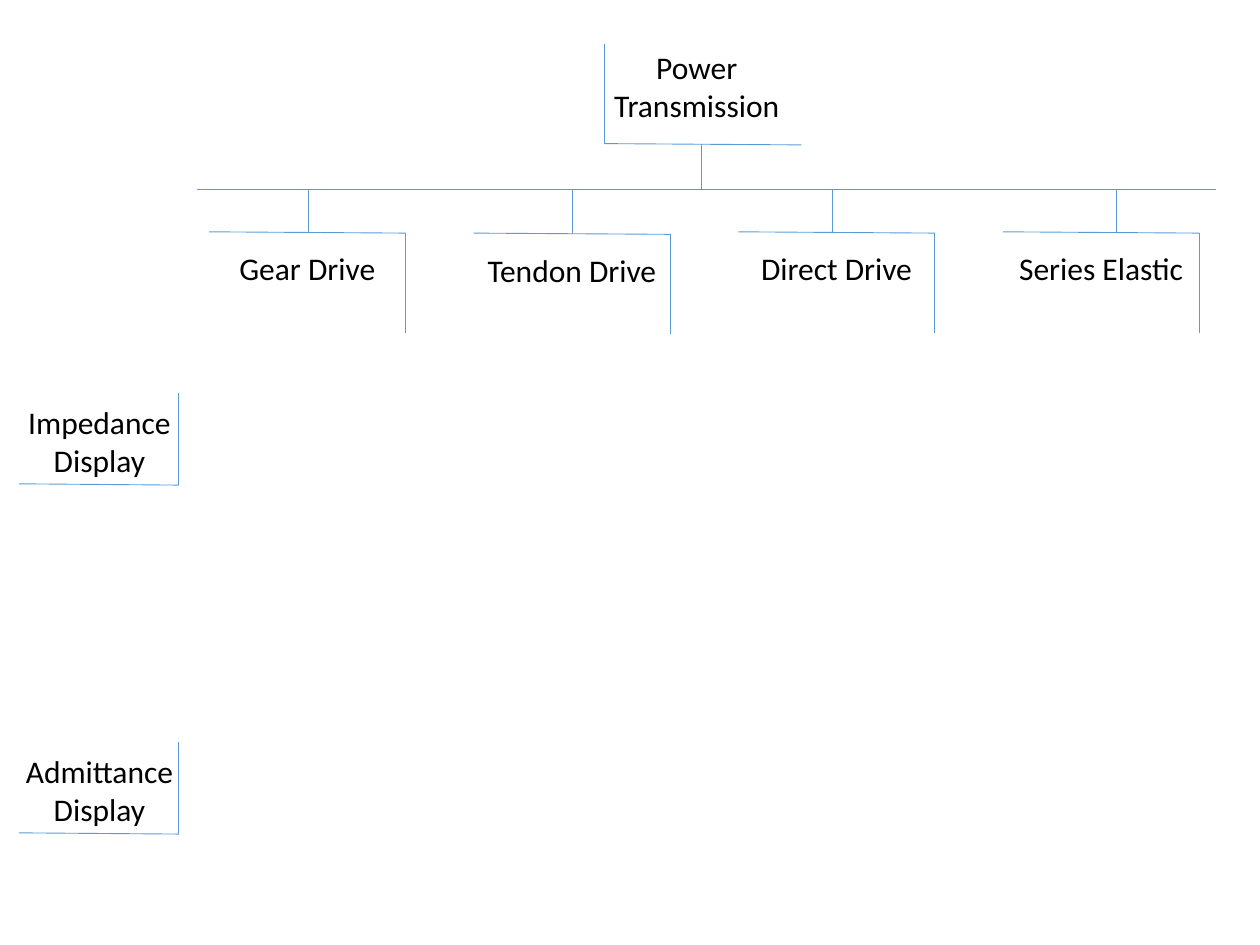
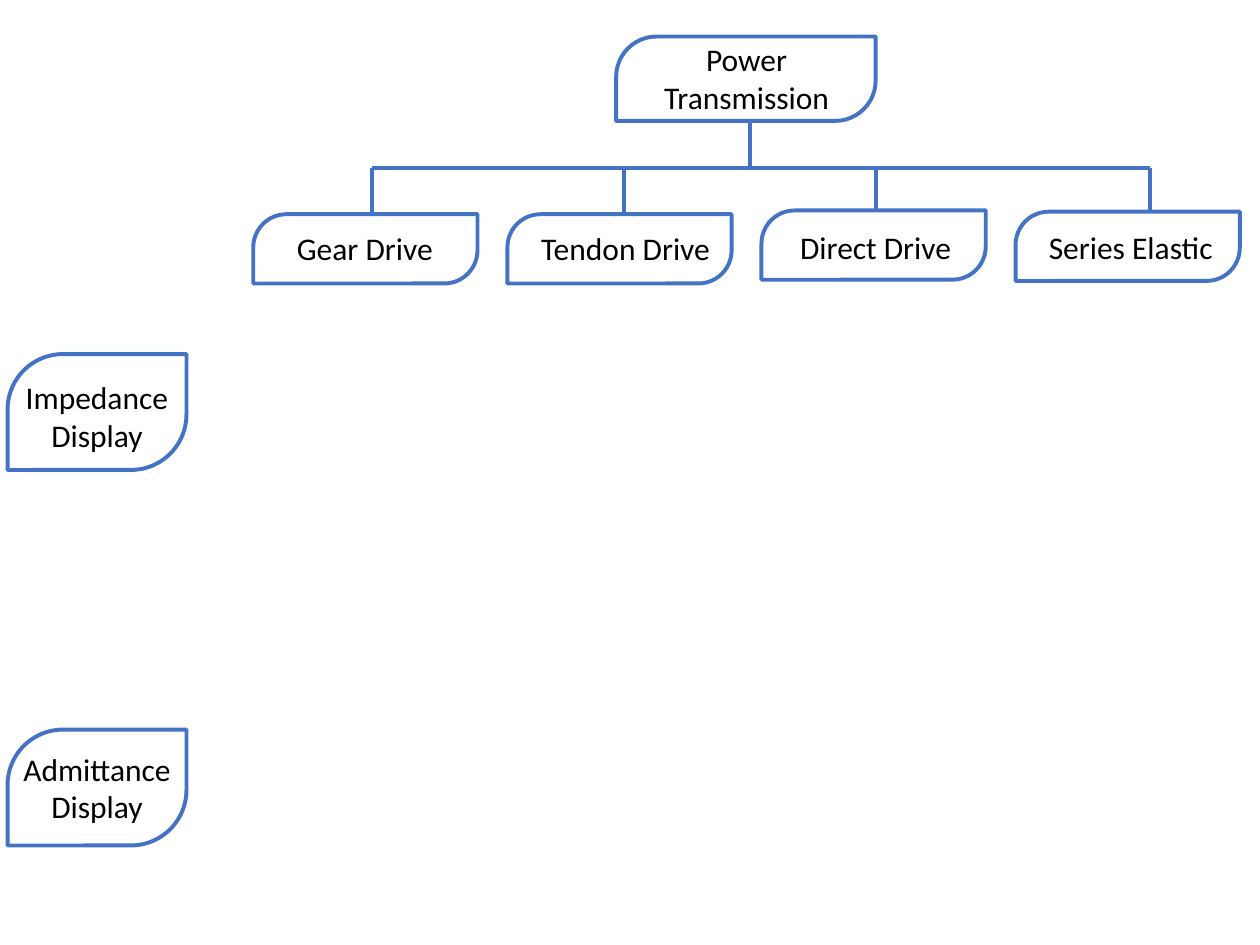
from dataclasses import dataclass

from lxml import etree
from pptx import Presentation
from pptx.dml.color import RGBColor
from pptx.enum.shapes import MSO_CONNECTOR, MSO_SHAPE
from pptx.enum.text import MSO_AUTO_SIZE, PP_ALIGN
from pptx.oxml.ns import qn
from pptx.util import Inches, Pt


@dataclass(frozen=True)
class Theme:
    """Colours, type and line weights of the deck."""
    font: str = "Calibri"
    size: float = 18
    text: str = "000000"
    thin_color: str = "5B9BD5"
    thin_width: float = 0.5
    bold_color: str = "4472C4"
    bold_width: float = 2.25
    corner: float = 0.479


THEME = Theme()
ROOT = ("Power", "Transmission")
DRIVES = ("Gear Drive", "Tendon Drive", "Direct Drive", "Series Elastic")
DISPLAYS = (("Impedance", "Display"), ("Admittance", "Display"))


class Diagram:
    """One slide and the line style used on it."""

    def __init__(self, prs, color, width):
        """Add a blank slide with the given line style."""
        self.shapes = prs.slides.add_slide(prs.slide_layouts[6]).shapes
        self.color = RGBColor.from_string(color)
        self.width = Pt(width)

    def stroke(self, line):
        """Apply the slide's line style."""
        line.color.rgb = self.color
        line.width = self.width

    def line(self, x1, y1, x2, y2):
        """Draw a straight line without shadow."""
        connector = self.shapes.add_connector(
            MSO_CONNECTOR.STRAIGHT, Inches(x1), Inches(y1), Inches(x2), Inches(y2))
        self.stroke(connector.line)
        etree.SubElement(connector._element.spPr, qn("a:effectLst"))

    def label(self, lines, left, top, width, height):
        """Write centred text, one paragraph per line."""
        box = self.shapes.add_textbox(
            Inches(left), Inches(top), Inches(width), Inches(height))
        frame = box.text_frame
        frame.word_wrap = True
        frame.auto_size = MSO_AUTO_SIZE.SHAPE_TO_FIT_TEXT
        frame.text = "\n".join(lines)
        for paragraph in frame.paragraphs:
            paragraph.alignment = PP_ALIGN.CENTER
            font = paragraph.runs[0].font
            font.name, font.size = THEME.font, Pt(THEME.size)
            font.color.rgb = RGBColor.from_string(THEME.text)

    def leaf(self, left, top, width, height):
        """Outline a box with two opposite round corners."""
        shape = self.shapes.add_shape(
            MSO_SHAPE.ROUND_2_DIAG_RECTANGLE,
            Inches(left), Inches(top), Inches(width), Inches(height))
        shape.adjustments[0] = THEME.corner
        shape.adjustments[1] = 0
        shape.fill.background()
        shape.shadow.inherit = False
        self.stroke(shape.line)


def build_open_corners(prs):
    """Tree whose labels sit in open, thin corners."""
    d = Diagram(prs, THEME.thin_color, THEME.thin_width)
    bar_y = 1.5
    d.label(ROOT, 4.6, 0.33, 1.86, 0.72)
    d.line(4.8, 0.35, 4.8, 1.14)
    d.line(6.36, 1.15, 4.8, 1.14)
    d.line(5.57, 1.14, 5.57, bar_y)
    d.line(1.56, bar_y, 9.65, bar_y)

    tops = (1.84, 1.85, 1.84, 1.84)
    drops = (2.45, 4.54, 6.61, 8.86)
    for i, (name, top, drop) in enumerate(zip(DRIVES, tops, drops)):
        left = 1.66 + 2.1 * i
        right = left + 1.56
        d.line(right, top + 0.8, right, top + 0.01)
        d.line(left, top, right, top + 0.01)
        d.label([name], left - 0.15, top + 0.09, 1.86, 0.41)
        d.line(drop, top + 0.01, drop, bar_y)

    for lines, top in zip(DISPLAYS, (3.12, 5.89)):
        d.line(1.42, top + 0.73, 1.42, top)
        d.line(0.15, top + 0.72, 1.42, top + 0.73)
        d.label(lines, -0.19, top + 0.03, 1.96, 0.71)


def build_leaf_boxes(prs):
    """Tree whose labels sit in bold leaf-shaped boxes."""
    d = Diagram(prs, THEME.bold_color, THEME.bold_width)
    bar_y = 1.33
    drops = (2.95, 4.95, 6.95, 9.13)
    d.label(ROOT, 5.03, 0.27, 1.79, 0.71)
    d.leaf(4.89, 0.29, 2.06, 0.67)
    d.line(5.95, 0.98, 5.95, bar_y)
    d.line(drops[0], bar_y, drops[-1], bar_y)

    tops = (1.7, 1.7, 1.67, 1.68)
    text_boxes = ((2.14, 1.77, 1.51), (4.07, 1.77, 1.79),
                  (6.08, 1.76, 1.74), (8.11, 1.76, 1.73))
    pitch = (8.06 - 2.01) / 3
    for i, (name, top, drop, text_box) in enumerate(
            zip(DRIVES, tops, drops, text_boxes)):
        d.label([name], *text_box, 0.41)
        d.line(drop, 1.68, drop, bar_y)
        d.leaf(2.01 + pitch * i, top, 1.78, 0.55)

    for lines, text_top, top in zip(DISPLAYS, (2.95, 5.9), (2.81, 5.79)):
        d.label(lines, 0.06, text_top, 1.42, 0.71)
        d.leaf(0.06, top, 1.42, 0.92)


def main():
    """Build and save the deck."""
    prs = Presentation()
    prs.slide_width, prs.slide_height = Inches(10), Inches(7.5)
    build_open_corners(prs)
    build_leaf_boxes(prs)
    prs.save("out.pptx")


main()
